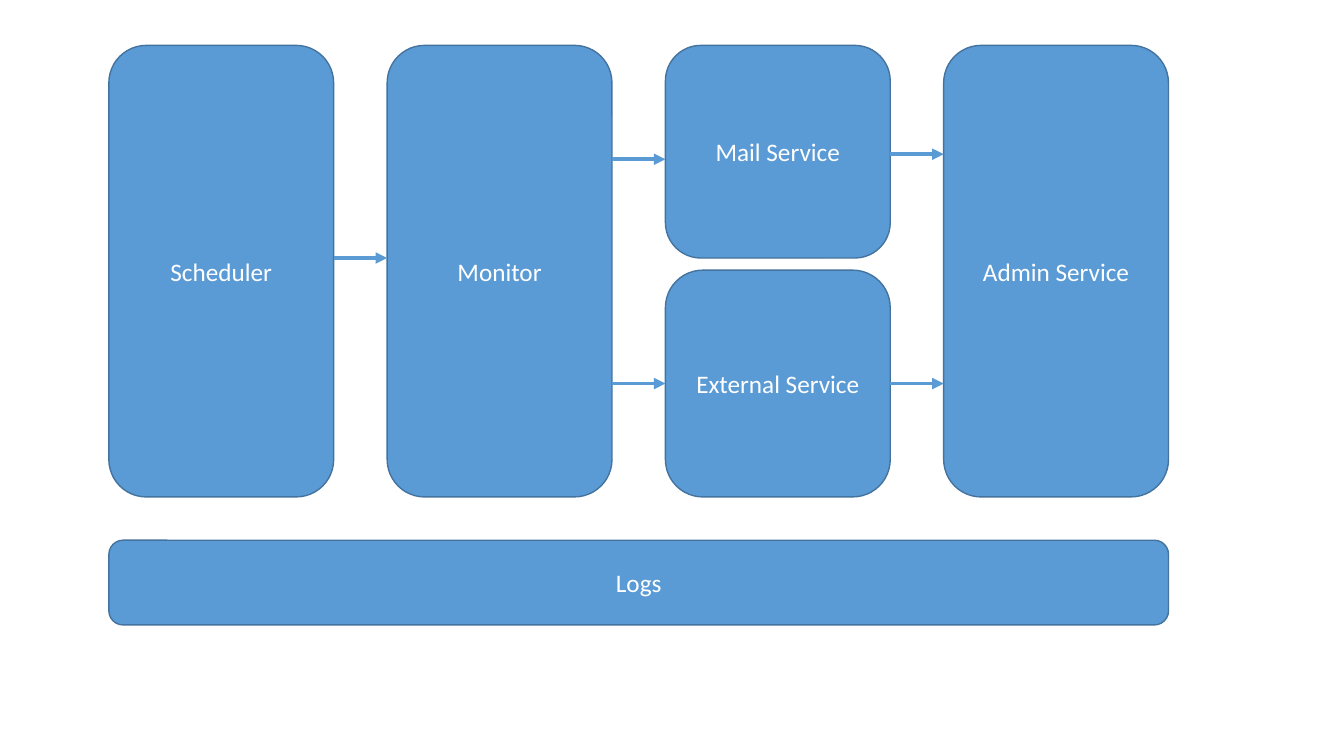
from dataclasses import dataclass

import pptx
import pptx.dml.color
import pptx.enum.shapes
import pptx.enum.text
import pptx.oxml
import pptx.oxml.ns
import pptx.shapes.autoshape
import pptx.shapes.connector
import pptx.slide
import pptx.util
from pptx.util import Inches

LEFT, TOP = 1.08, 0.45
BOX_WIDTH, COLUMN_STEP = 2.23, 2.76
FULL_HEIGHT = 4.48
FILL, OUTLINE, TEXT = "5B9BD5", "43739E", "FFFFFF"


@dataclass(frozen=True)
class Box:
    label: str
    column: int
    top: float = TOP
    height: float = FULL_HEIGHT
    columns: int = 1

    @property
    def left(self) -> float:
        return LEFT + self.column * COLUMN_STEP

    @property
    def width(self) -> float:
        return BOX_WIDTH + (self.columns - 1) * COLUMN_STEP

    @property
    def right(self) -> float:
        return self.left + self.width

    @property
    def middle(self) -> float:
        return self.top + self.height / 2


@dataclass(frozen=True)
class Arrow:
    source: Box
    target: Box
    y: float


MAIL = Box("Mail Service", 2, height=2.11)
SCHEDULER = Box("Scheduler", 0)
MONITOR = Box("Monitor", 1)
EXTERNAL = Box("External Service", 2, top=2.68, height=2.25)
ADMIN = Box("Admin Service", 3)
LOGS = Box("Logs", 0, top=5.36, height=0.84, columns=4)
BOXES = [MAIL, SCHEDULER, MONITOR, EXTERNAL, ADMIN, LOGS]

ARROWS = [
    Arrow(SCHEDULER, MONITOR, 2.56),
    Arrow(MONITOR, EXTERNAL, EXTERNAL.middle),
    Arrow(MONITOR, MAIL, 1.58),
    Arrow(MAIL, ADMIN, 1.53),
    Arrow(EXTERNAL, ADMIN, EXTERNAL.middle),
]


def color(value: str) -> pptx.dml.color.RGBColor:
    return pptx.dml.color.RGBColor.from_string(value)


def draw_box(slide: pptx.slide.Slide, box: Box) -> pptx.shapes.autoshape.Shape:
    shape = slide.shapes.add_shape(
        pptx.enum.shapes.MSO_SHAPE.ROUNDED_RECTANGLE,
        Inches(box.left), Inches(box.top), Inches(box.width), Inches(box.height),
    )
    shape.shadow.inherit = False
    shape.fill.solid()
    shape.fill.fore_color.rgb = color(FILL)
    shape.line.color.rgb = color(OUTLINE)
    shape.line.width = pptx.util.Pt(1)
    frame = shape.text_frame
    frame.word_wrap = True
    frame.vertical_anchor = pptx.enum.text.MSO_ANCHOR.MIDDLE
    paragraph = frame.paragraphs[0]
    paragraph.alignment = pptx.enum.text.PP_ALIGN.CENTER
    run = paragraph.add_run()
    run.text = box.label
    run.font.name = "Calibri"
    run.font.size = pptx.util.Pt(18)
    run.font.color.rgb = color(TEXT)
    return shape


def draw_arrow(
    slide: pptx.slide.Slide,
    arrow: Arrow,
    shapes: dict[Box, pptx.shapes.autoshape.Shape],
) -> pptx.shapes.connector.Connector:
    connector = slide.shapes.add_connector(
        pptx.enum.shapes.MSO_CONNECTOR.STRAIGHT,
        Inches(arrow.source.right), Inches(arrow.y),
        Inches(arrow.target.left), Inches(arrow.y),
    )
    if arrow.y == arrow.source.middle:
        connector.begin_connect(shapes[arrow.source], 3)
    if arrow.y == arrow.target.middle:
        connector.end_connect(shapes[arrow.target], 1)
    connector.line.color.rgb = color(FILL)
    connector.line.width = pptx.util.Pt(2.75)
    tail = pptx.oxml.parse_xml(
        f'<a:tailEnd {pptx.oxml.ns.nsdecls("a")} type="triangle"/>'
    )
    connector.line._get_or_add_ln().append(tail)
    effects = pptx.oxml.parse_xml(f'<a:effectLst {pptx.oxml.ns.nsdecls("a")}/>')
    connector._element.spPr.append(effects)
    return connector


def main() -> None:
    presentation = pptx.Presentation()
    presentation.slide_width = Inches(13.33)
    presentation.slide_height = Inches(7.5)
    slide = presentation.slides.add_slide(presentation.slide_layouts[6])
    shapes = {box: draw_box(slide, box) for box in BOXES}
    for arrow in ARROWS:
        draw_arrow(slide, arrow, shapes)
    presentation.save("out.pptx")


if __name__ == "__main__":
    main()
